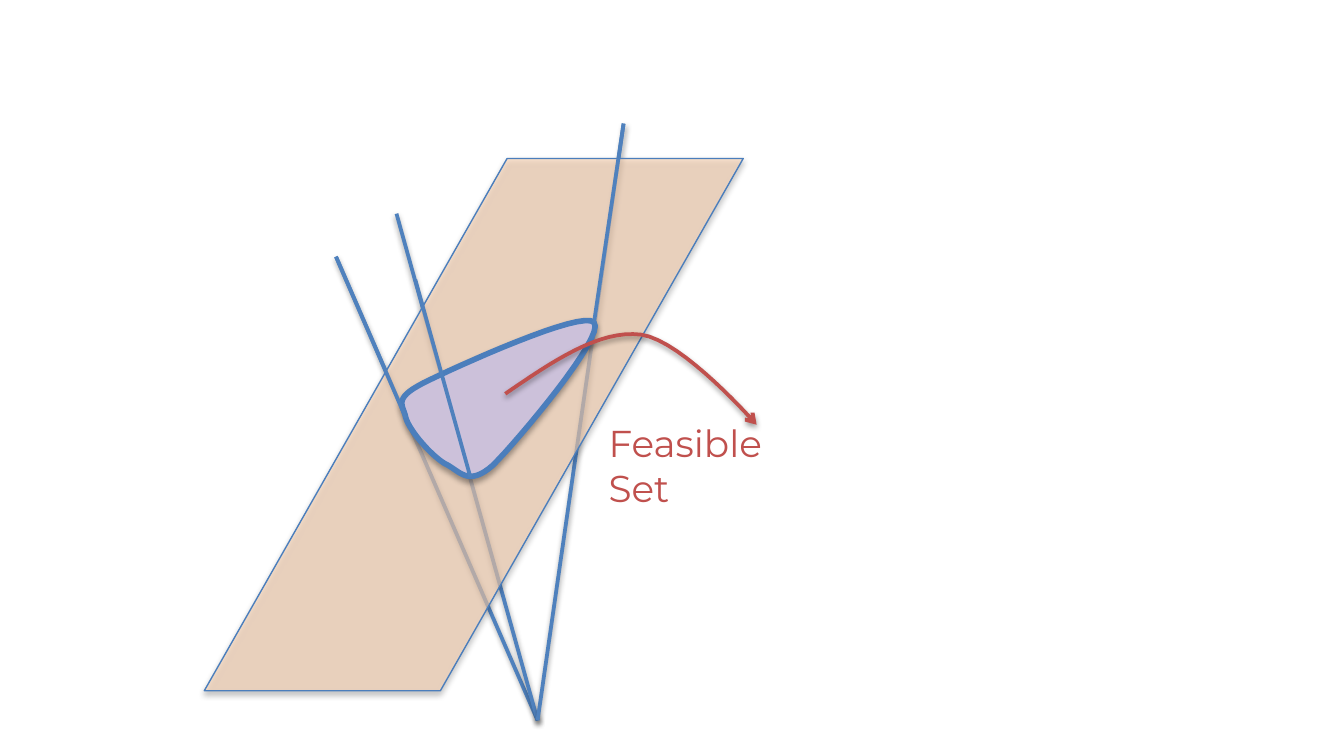
from lxml import etree
from pptx import Presentation
from pptx.dml.color import RGBColor
from pptx.enum import shapes, text
from pptx.oxml import ns
from pptx.util import Inches, Pt

LINE_BLUE = "4F81BD"
OUTLINE_BLUE = "4B7EBC"
RED = "C0504D"
CURVE_STEPS = 16


def color(hex_string):
    return RGBColor.from_string(hex_string)


def child(parent, tag, **attributes):
    return etree.SubElement(parent, ns.qn(tag), attributes)


def set_line(shape, hex_string, width):
    shape.line.color.rgb = color(hex_string)
    shape.line.width = Pt(width)


def set_shadow(shape, opacity=0, distance=1.6):
    properties = shape._element.spPr
    for old_effects in properties.findall(ns.qn("a:effectLst")):
        properties.remove(old_effects)
    effects = child(properties, "a:effectLst")
    if opacity:
        shadow = child(effects, "a:outerShdw", blurRad=str(Pt(3.1)),
                       dist=str(Pt(distance)), dir="5400000", rotWithShape="0")
        shade = child(shadow, "a:srgbClr", val="000000")
        child(shade, "a:alpha", val=str(opacity * 1000))


def curve_points(start, segments):
    points = [start]
    for first, second, end in segments:
        for step in range(1, CURVE_STEPS + 1):
            t = step / CURVE_STEPS
            weights = ((1 - t) ** 3, 3 * t * (1 - t) ** 2, 3 * t ** 2 * (1 - t), t ** 3)
            controls = (start, first, second, end)
            points.append(tuple(sum(w * p[axis] for w, p in zip(weights, controls))
                                for axis in (0, 1)))
        start = end
    return points


def add_curve(group, place, start, segments, closed):
    points = [place(*point) for point in curve_points(start, segments)]
    builder = group.shapes.build_freeform(*points[0])
    builder.add_line_segments(points[1:], close=closed)
    return builder.convert_to_shape()


def add_ray(group, place, start, end, opacity=0):
    ray = group.shapes.add_connector(shapes.MSO_CONNECTOR.STRAIGHT,
                                     *place(*start), *place(*end))
    set_line(ray, LINE_BLUE, 2)
    set_shadow(ray, opacity)


def add_plane(group, place):
    plane = group.shapes.add_shape(shapes.MSO_SHAPE.PARALLELOGRAM, *place(0.02, 0.28),
                                   Inches(4.01), Inches(3.96))
    plane.adjustments[0] = 0.569
    plane.fill.solid()
    plane.fill.fore_color.rgb = color("FCD5B5")
    fill = plane._element.spPr.find(ns.qn("a:solidFill"))
    child(fill[0], "a:alpha", val="61000")
    set_line(plane, OUTLINE_BLUE, 0.75)
    set_shadow(plane, 35, 1.8)


def add_feasible_region(group, place):
    region = add_curve(group, place, (1.65, 1.95), [
        ((1.42, 2.07), (1.5, 2.11), (1.52, 2.21)),
        ((1.55, 2.31), (1.71, 2.49), (1.81, 2.55)),
        ((1.92, 2.6), (1.98, 2.73), (2.17, 2.56)),
        ((2.35, 2.38), (3.01, 1.6), (2.92, 1.5)),
        ((2.84, 1.4), (1.89, 1.83), (1.65, 1.95)),
    ], True)
    region.fill.solid()
    region.fill.fore_color.rgb = color("CCC1DA")
    set_line(region, OUTLINE_BLUE, 3)
    set_shadow(region, 35, 1.8)


def add_pointer(group, place):
    pointer = add_curve(group, place, (2.26, 2.03), [
        ((2.61, 1.79), (2.96, 1.55), (3.27, 1.59)),
        ((3.58, 1.63), (4.13, 2.26), (4.13, 2.26)),
    ], False)
    pointer.fill.background()
    set_line(pointer, RED, 2)
    child(pointer.line._get_or_add_ln(), "a:tailEnd", type="arrow")
    set_shadow(pointer, 38)


def add_label(group, place):
    label = group.shapes.add_textbox(*place(2.93, 2.18), Inches(1.56), Inches(0.44))
    frame = label.text_frame
    frame.word_wrap = True
    frame.auto_size = text.MSO_AUTO_SIZE.NONE
    paragraph = frame.paragraphs[0]
    paragraph.text = "Feasible Set"
    paragraph.font.name = "Montserrat"
    paragraph.font.size = Pt(20)
    paragraph.font.color.rgb = color(RED)


def add_cone_diagram(slide, left, top):
    def place(x, y):
        return Inches(left + x), Inches(top + y)

    group = slide.shapes.add_group_shape()
    apex = (2.5, 4.46)
    left_tip, middle_tip, right_tip = (1, 1.01), (1.45, 0.69), (3.14, 0.02)
    for tip in (left_tip, middle_tip, right_tip):
        add_ray(group, place, tip, apex, 38)
    add_plane(group, place)
    add_feasible_region(group, place)
    add_ray(group, place, (1.59, 1.18), (2, 2.65))
    add_pointer(group, place)
    add_label(group, place)
    add_ray(group, place, right_tip, (2.92, 1.5))
    add_ray(group, place, left_tip, (1.52, 2.21))


def main():
    presentation = Presentation()
    presentation.slide_width = Inches(10)
    presentation.slide_height = Inches(10 * 9 / 16)
    slide = presentation.slides.add_slide(presentation.slide_layouts[6])
    add_cone_diagram(slide, 1.5, 0.9)
    presentation.save("out.pptx")


if __name__ == "__main__":
    main()
